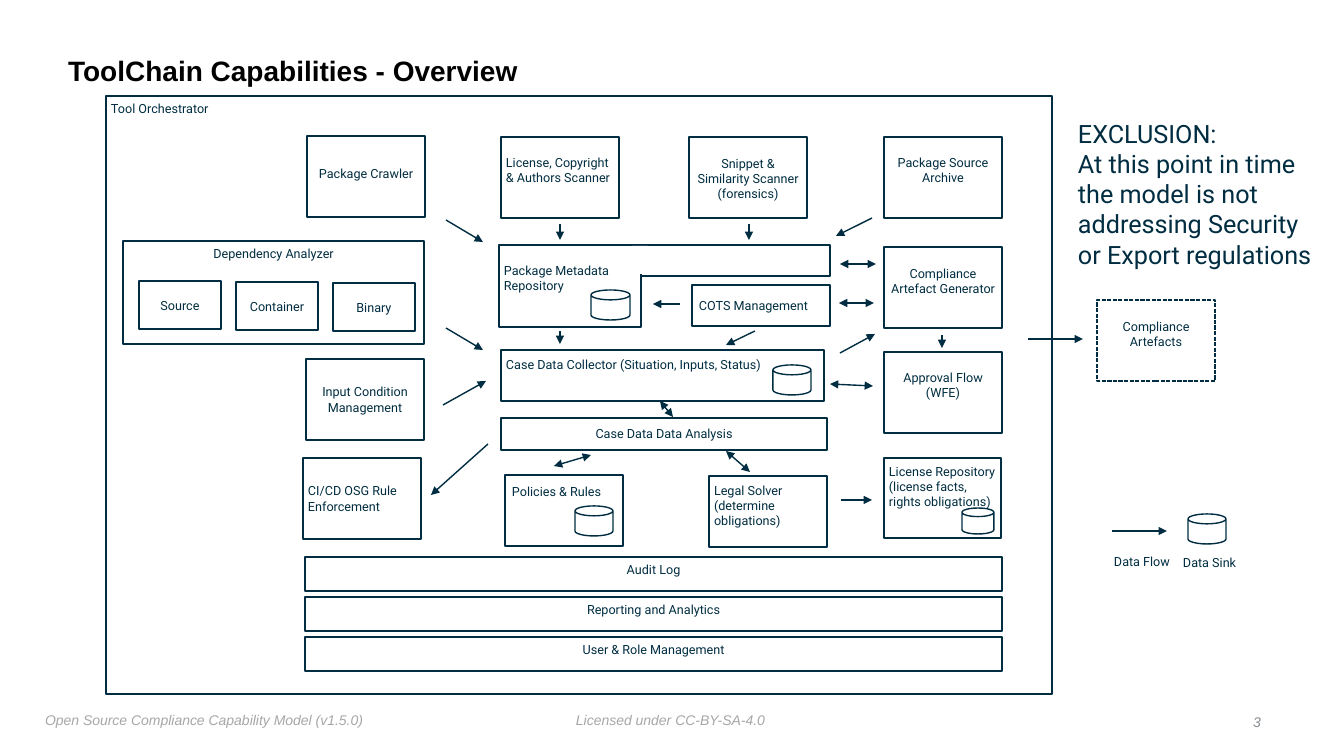
from lxml import etree
from pptx import Presentation
from pptx import util as u
from pptx.dml.color import RGBColor
from pptx.enum import dml, shapes, text
from pptx.oxml.ns import qn

PX = 914400 / 100.8
COLORS = {"ink": "002D41", "paper": "FFFFFF", "title": "000000",
          "footer": "A7A7A7", "number": "888C91"}
INSET = 5

# text, left, top, width, height, format
BOXES = [
    ("Tool Orchestrator", 106, 96, 946, 598, dict(dy=0)),
    ("Case Data Collector (Situation, Inputs, Status)", 501, 350, 323, 51, dict(dy=2)),
    ("Policies & Rules", 505, 475, 118, 71, dict(dy=4, dx=2)),
    ("Approval Flow (WFE)", 884, 352, 118, 81, dict(dy=13, align="c")),
    ("Compliance Artefact Generator", 884, 247, 118, 81, dict(dy=14, align="c")),
    ("Snippet & Similarity Scanner\v(forensics)", 689, 137, 118, 81, dict(dy=14, align="c")),
    ("License, Copyright & Authors Scanner", 501, 137, 118, 81, dict(dy=13)),
    ("License Repository (license facts, rights obligations)", 884, 458, 117, 80, dict(dy=1)),
    ("Package Crawler", 307, 136, 118, 81, dict(dy=25, align="c")),
    ("Compliance Artefacts", 1097, 300, 118, 81, dict(dy=14, align="c", dashed=True)),
    ("Legal Solver (determine obligations)", 709, 476, 118, 71, dict(dy=2)),
    ("COTS Management", 692, 285, 138, 41, dict(dy=8, dx=2)),
    ("Package Source Archive", 884, 137, 118, 81, dict(dy=13, align="c")),
    ("Package Metadata Repository", 499, 245, 142, 82, dict(dy=13)),
    ("", 641, 245, 189, 31, dict()),
    ("", 632, 246, 16, 28, dict(outlined=False)),
    ("CI/CD OSG Rule Enforcement", 303, 458, 118, 81, dict()),
    ("Dependency Analyzer", 123, 241, 301, 103, dict(dy=0, align="c")),
    ("Input Condition Management", 306, 359, 118, 81, dict(align="c")),
    ("Case Data Data Analysis", 501, 418, 326, 32, dict(align="c")),
]
ANALYZERS = ["Source", "Container", "Binary"]
BARS = ["Audit Log", "Reporting and Analytics", "User & Role Management"]
DATA_SINKS = [(773, 365, 38, 30), (962, 508, 32, 26), (591, 290, 39, 30),
              (1188, 514, 38, 30), (575, 506, 38, 30)]
ONE_WAY = [
    (488, 444, 431, 495), (446, 328, 483, 350), (443, 405, 486, 381),
    (560, 331, 560, 344), (560, 224, 560, 240), (840, 353, 875, 334),
    (446, 220, 483, 242), (1028, 339, 1083, 339), (680, 304, 653, 304),
    (841, 500, 872, 500), (942, 335, 942, 348), (872, 218, 836, 236),
    (755, 331, 726, 345), (749, 224, 749, 240), (1112, 531, 1167, 531),
]
TWO_WAY = [
    (554, 466, 591, 455), (840, 264, 876, 264), (839, 303, 874, 303),
    (750, 472, 726, 451), (830, 384, 873, 386), (673, 417, 660, 401),
]
LABELS = [
    (["ToolChain Capabilities - Overview"], 63, 39, 1084, 66,
     dict(size=20, font="Arial", color="title", bold=True, anchor="m", spacing=0.9)),
    (["EXCLUSION:", "At this point in time\vthe model is not",
      "addressing Security", "or Export regulations"], 1073, 113, 248, 163,
     dict(size=18, wrap=False)),
    (["Data Flow"], 1109, 549, 68, 25, dict(wrap=False)),
    (["Data Sink"], 1178, 550, 64, 25, dict(wrap=False)),
    (["Open Source Compliance Capability Model (v1.5.0)"], 40, 707, 335, 27,
     dict(size=10, font="Arial", color="footer", italic=True, wrap=False)),
    (["Licensed under CC-BY-SA-4.0"], 571, 707, 201, 25,
     dict(size=10, font="Arial", color="footer", italic=True, wrap=False)),
    (["3"], 1247, 709, 19, 25,
     dict(size=10, font="Arial", color="number", italic=True, align="r",
          anchor="m", wrap=False)),
]
ALIGN = {"l": text.PP_ALIGN.LEFT, "c": text.PP_ALIGN.CENTER, "r": text.PP_ALIGN.RIGHT}
ANCHOR = {"t": text.MSO_ANCHOR.TOP, "m": text.MSO_ANCHOR.MIDDLE}


def px(*values):
    return [u.Emu(round(v * PX)) for v in values]


def rgb(name):
    return RGBColor.from_string(COLORS[name])


def write(sp, lines, size=9, font="Roboto", color="ink", bold=False, italic=False,
          align="l", anchor="t", wrap=True, spacing=None, dx=0, dy=0):
    tf = sp.text_frame
    tf.word_wrap = wrap
    tf.vertical_anchor = ANCHOR[anchor]
    tf.margin_left, tf.margin_top, tf.margin_right, tf.margin_bottom = px(
        INSET + dx, INSET + dy, INSET, INSET)
    for i, line in enumerate(lines):
        p = tf.paragraphs[0] if i == 0 else tf.add_paragraph()
        p.text = line
        p.alignment = ALIGN[align]
        if spacing:
            p.line_spacing = spacing
        for r in p.runs:
            r.font.size = u.Pt(size)
            r.font.name = font
            r.font.bold = bold
            r.font.italic = italic
            r.font.color.rgb = rgb(color)


def add_outline(s, kind, x, y, w, h, outlined=True, dashed=False):
    sp = s.shapes.add_shape(kind, *px(x, y, w, h))
    sp.shadow.inherit = False
    sp.fill.solid()
    sp.fill.fore_color.rgb = rgb("paper")
    if outlined:
        sp.line.color.rgb = rgb("ink")
        sp.line.width = u.Pt(1)
    else:
        sp.line.fill.background()
    if dashed:
        sp.line.dash_style = dml.MSO_LINE.SQUARE_DOT
    return sp


def add_box(s, label, x, y, w, h, outlined=True, dashed=False, dy=None, **fmt):
    sp = add_outline(s, shapes.MSO_SHAPE.RECTANGLE, x, y, w, h, outlined, dashed)
    if label:
        write(sp, [label], anchor="m" if dy is None else "t", dy=dy or 0, **fmt)


def add_arrow(s, ends, heads):
    c = s.shapes.add_connector(shapes.MSO_CONNECTOR.STRAIGHT, *px(*ends))
    c.line.color.rgb = rgb("ink")
    c.line.width = u.Pt(1)
    ln = c.line._get_or_add_ln()
    for head in heads:
        etree.SubElement(ln, qn("a:" + head), type="triangle")
    etree.SubElement(c._element.spPr, qn("a:effectLst"))


def main():
    prs = Presentation()
    prs.slide_width, prs.slide_height = px(1344, 756)
    s = prs.slides.add_slide(prs.slide_layouts[6])

    for label, x, y, w, h, fmt in BOXES:
        add_box(s, label, x, y, w, h, **fmt)
    for i, label in enumerate(ANALYZERS):
        add_box(s, label, 139 + 97 * i, 281 + i, 82, 48, align="c")
    for i, label in enumerate(BARS):
        add_box(s, label, 305, 557 + 40 * i, 697, 34, dy=0, align="c")
    for sink in DATA_SINKS:
        sp = add_outline(s, shapes.MSO_SHAPE.CAN, *sink)
        sp.adjustments[0] = 0.33
    for ends in ONE_WAY:
        add_arrow(s, ends, ["tailEnd"])
    for ends in TWO_WAY:
        add_arrow(s, ends, ["headEnd", "tailEnd"])
    for lines, x, y, w, h, fmt in LABELS:
        write(s.shapes.add_textbox(*px(x, y, w, h)), lines, **fmt)

    prs.save("out.pptx")


if __name__ == "__main__":
    main()
